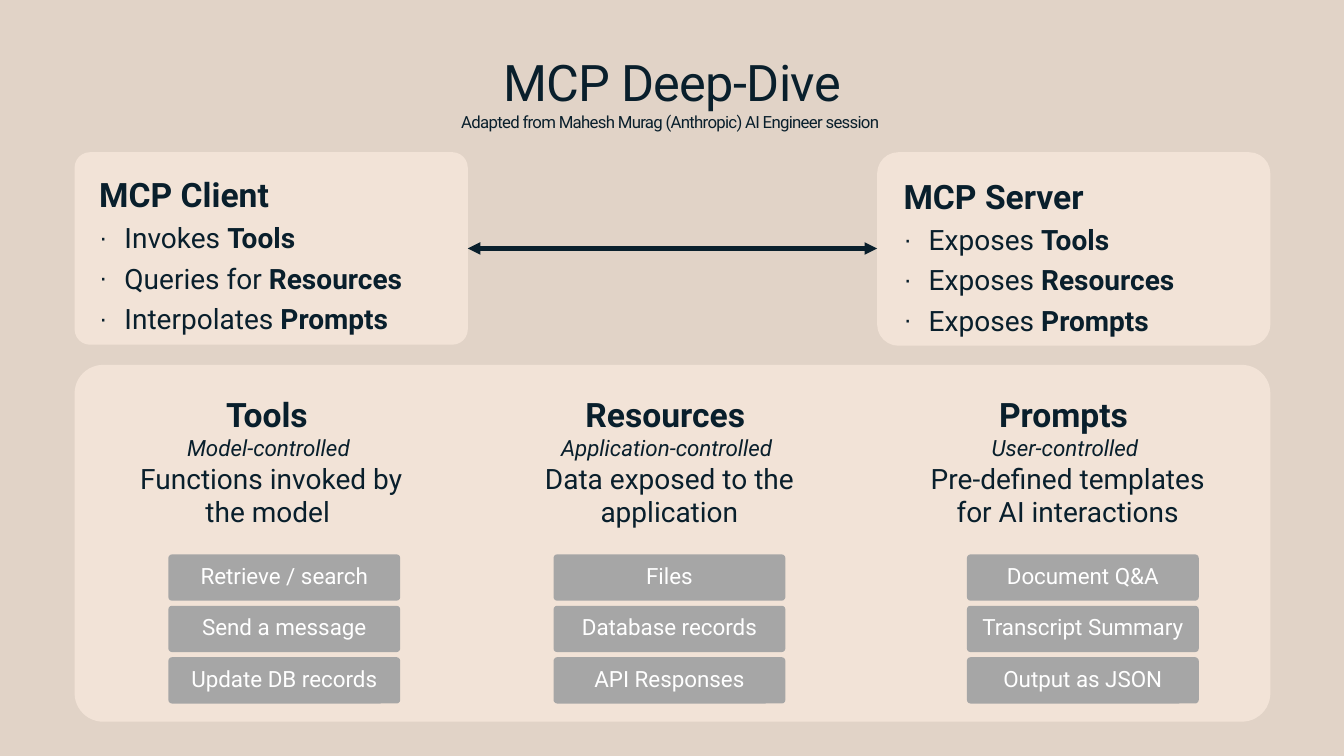
from lxml import etree
from pptx import Presentation
from pptx.dml.color import RGBColor
from pptx.enum.shapes import MSO_CONNECTOR, MSO_SHAPE
from pptx.enum.text import MSO_ANCHOR, MSO_AUTO_SIZE, PP_ALIGN
from pptx.oxml.ns import qn
from pptx.util import Inches, Pt

ROUNDED = MSO_SHAPE.ROUNDED_RECTANGLE
STRAIGHT = MSO_CONNECTOR.STRAIGHT
TOP, MIDDLE = MSO_ANCHOR.TOP, MSO_ANCHOR.MIDDLE
LEFT, CENTER = PP_ALIGN.LEFT, PP_ALIGN.CENTER
NO_AUTOFIT = MSO_AUTO_SIZE.NONE
TWO_CONTENT_LAYOUT = 3

FONT = "Roboto"
INK, SAND, CREAM, GRAY, WHITE = "091F2C", "E1D3C7", "F2E3D7", "A6A6A6", "FFFFFF"

# Regions in inches: left, top, width, height
MARGIN, CARD_WIDTH, PANEL_WIDTH = 0.74, 3.9, 11.86
TITLE_BOX = (0.64, 0.5, 12.05, 0.81)
CLIENT_BOX = (MARGIN, 1.51, CARD_WIDTH, 1.91)
SERVER_BOX = (MARGIN + PANEL_WIDTH - CARD_WIDTH, 1.51, CARD_WIDTH, 1.92)
PANEL_BOX = (MARGIN, 3.62, PANEL_WIDTH, 3.54)

# Panel grid, relative to the panel
COLUMN_LEFT, COLUMN_PITCH, COLUMN_WIDTH = 0.45, 3.95, 3.0
CHIP_TOP, CHIP_PITCH, CHIP_WIDTH, CHIP_HEIGHT = 1.88, 0.51, 2.3, 0.46

CLIENT_LINES = [("Invokes ", "Tools"), ("Queries for ", "Resources"),
                ("Interpolates ", "Prompts")]
SERVER_LINES = [("Exposes ", "Tools"), ("Exposes ", "Resources"),
                ("Exposes ", "Prompts")]

# Heading, controller, description, left of the chips in the panel, chips
COLUMNS = [
    ("Tools ", "Model-controlled ", "Functions invoked by the model ", 0.93,
     ["Retrieve / search", "Send a message", "Update DB records"]),
    ("Resources ", "Application-controlled ", "Data exposed to the application", 4.75,
     ["Files", "Database records", "API Responses"]),
    ("Prompts ", "User-controlled ", "Pre-defined templates for AI interactions", 8.85,
     ["Document Q&A", "Transcript Summary", "Output as JSON"]),
]


def color(hex_string):
    return RGBColor.from_string(hex_string)


def place(shape, box):
    shape.left, shape.top, shape.width, shape.height = map(Inches, box)


def set_frame(frame, insets, anchor):
    frame.word_wrap = True
    frame.auto_size = NO_AUTOFIT
    frame.vertical_anchor = anchor
    (frame.margin_left, frame.margin_top,
     frame.margin_right, frame.margin_bottom) = map(Inches, insets)


def get_para(frame, index):
    return frame.paragraphs[0] if index == 0 else frame.add_paragraph()


def style_para(para, size, align, ink=INK, bold=False, italic=False, before=0):
    para.alignment = align
    para.space_before = Pt(before)
    font = para.font
    font.name, font.size, font.bold, font.italic = FONT, Pt(size), bold, italic
    font.color.rgb = color(ink)


def set_bullet(para, mark=None):
    props = para._p.get_or_add_pPr()
    indent = Inches(0.25) if mark else 0
    props.set("marL", str(indent))
    props.set("indent", str(-indent))
    if mark:
        etree.SubElement(props, qn("a:buSzPct")).set("val", "90000")
        etree.SubElement(props, qn("a:buChar")).set("char", mark)
    else:
        etree.SubElement(props, qn("a:buNone"))


def add_rounded(page, box, fill, rounding):
    shape = page.shapes.add_shape(ROUNDED, *map(Inches, box))
    shape.adjustments[0] = rounding
    shape.shadow.inherit = False
    shape.fill.solid()
    shape.fill.fore_color.rgb = color(fill)
    shape.line.fill.background()
    return shape


def fill_title(title, box):
    place(title, box)
    set_frame(title.text_frame, (0, 0, 0, 0), MIDDLE)
    para = title.text_frame.paragraphs[0]
    style_para(para, 36, CENTER)
    spans = [para.add_run()]
    para.add_line_break()
    spans.append(para.add_run())
    spans[0].text = "MCP Deep-Dive"
    spans[1].text = "Adapted from Mahesh Murag (Anthropic) AI Engineer session "
    spans[1].font.size = Pt(12)
    for span in spans:
        span.font._element.set("spc", "-50")


def fill_card(card, box, rounding, heading, lines):
    place(card, box)
    # Rounded outline on the placeholder
    geometry = etree.SubElement(card.element.spPr, qn("a:prstGeom"), prst="roundRect")
    etree.SubElement(geometry, qn("a:avLst"))
    card.adjustments[0] = rounding
    card.fill.solid()
    card.fill.fore_color.rgb = color(CREAM)

    frame = card.text_frame
    set_frame(frame, (0.2, 0.17, 0.2, 0.1), TOP)
    para = get_para(frame, 0)
    set_bullet(para)
    style_para(para, 24, LEFT, bold=True)
    para.add_run().text = heading
    for index, (verb, noun) in enumerate(lines, 1):
        para = get_para(frame, index)
        set_bullet(para, "·")
        style_para(para, 20, LEFT, before=4.8)
        para.add_run().text = verb
        span = para.add_run()
        span.text = noun
        span.font.bold = True


def add_link(page, left_box, right_box):
    middle = Inches(left_box[1] + left_box[3] / 2)
    link = page.shapes.add_connector(
        STRAIGHT, Inches(left_box[0] + left_box[2]), middle, Inches(right_box[0]), middle)
    link.line.color.rgb = color(INK)
    link.line.width = Pt(3)
    outline = link.element.spPr.find(qn("a:ln"))
    for end in ("a:headEnd", "a:tailEnd"):
        etree.SubElement(outline, qn(end), type="triangle")
    etree.SubElement(link.element.spPr, qn("a:effectLst"))


def add_column_text(page, box, heading, controller, description):
    frame = page.shapes.add_textbox(*map(Inches, box)).text_frame
    set_frame(frame, (0, 0, 0, 0), TOP)
    rows = [(heading, 24, True, False), (controller, 16, False, True),
            (description, 20, False, False)]
    for index, (text, size, bold, italic) in enumerate(rows):
        para = get_para(frame, index)
        style_para(para, size, CENTER, bold=bold, italic=italic)
        para.add_run().text = text


def add_chip(page, box, label):
    frame = add_rounded(page, box, GRAY, 0.08).text_frame
    set_frame(frame, (0.05, 0.05, 0.05, 0.09), MIDDLE)
    para = frame.paragraphs[0]
    style_para(para, 16, CENTER, ink=WHITE)
    para.add_run().text = label


def add_panel(page, box):
    left, top = box[:2]
    add_rounded(page, box, CREAM, 0.08)
    for column, (heading, controller, description, chip_left, chips) in enumerate(COLUMNS):
        text_box = (left + COLUMN_LEFT + column * COLUMN_PITCH, top + 0.29,
                    COLUMN_WIDTH, 1.35)
        add_column_text(page, text_box, heading, controller, description)
        for row, label in enumerate(chips):
            chip_box = (left + chip_left, top + CHIP_TOP + row * CHIP_PITCH,
                        CHIP_WIDTH, CHIP_HEIGHT)
            add_chip(page, chip_box, label)


def main():
    deck = Presentation()
    deck.slide_width, deck.slide_height = Inches(13.33), Inches(7.5)
    page = deck.slides.add_slide(deck.slide_layouts[TWO_CONTENT_LAYOUT])
    page.background.fill.solid()
    page.background.fill.fore_color.rgb = color(SAND)

    # Title, the two cards with their link, and the panel below
    fill_title(page.shapes.title, TITLE_BOX)
    fill_card(page.placeholders[1], CLIENT_BOX, 0.08, "MCP Client", CLIENT_LINES)
    fill_card(page.placeholders[2], SERVER_BOX, 0.11, "MCP Server", SERVER_LINES)
    add_link(page, CLIENT_BOX, SERVER_BOX)
    add_panel(page, PANEL_BOX)

    deck.save("out.pptx")


if __name__ == "__main__":
    main()
